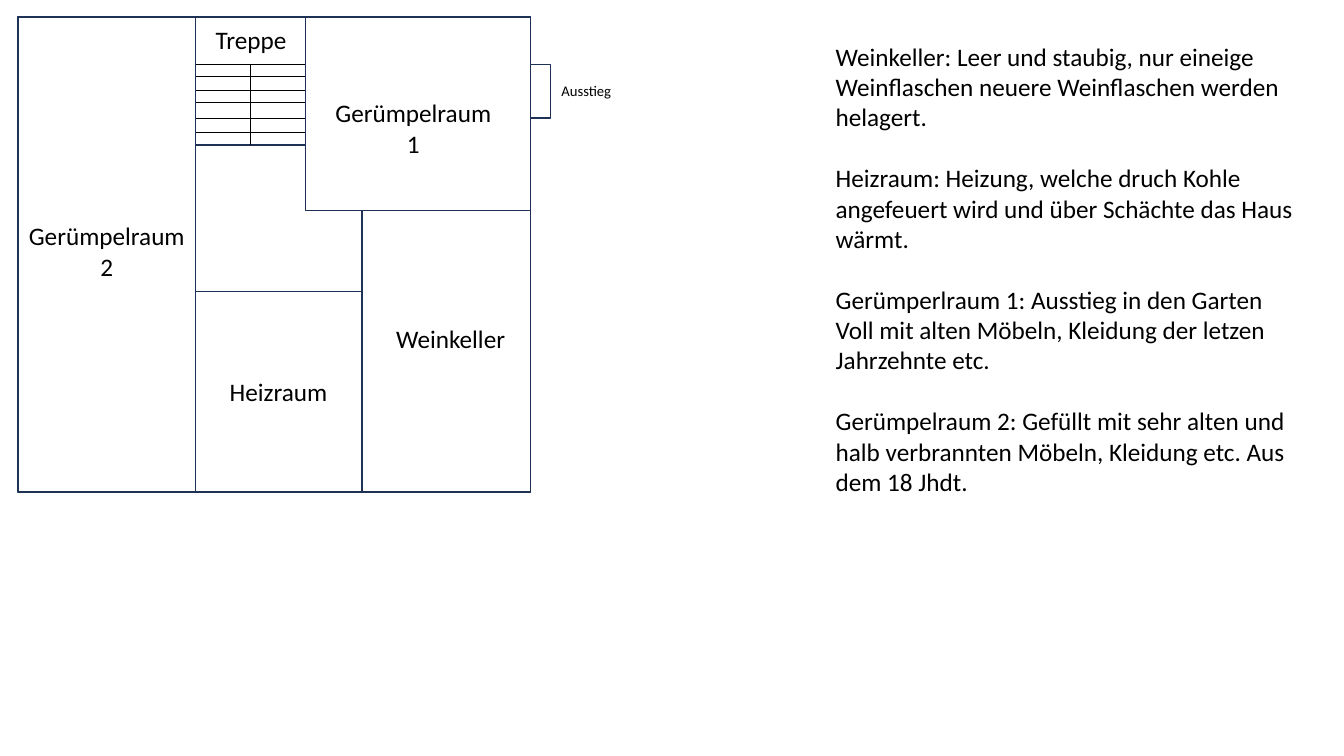
"""Build a slide with a cellar floor plan and a description of its rooms."""
from pptx import Presentation
from pptx.dml.color import RGBColor
from pptx.enum.shapes import MSO_CONNECTOR, MSO_SHAPE
from pptx.enum.text import MSO_AUTO_SIZE, PP_ALIGN
from pptx.oxml.ns import qn
from pptx.util import Inches, Pt
from lxml.etree import SubElement

NAVY = RGBColor(0x1E, 0x32, 0x56)
BLACK = RGBColor(0, 0, 0)
WHITE = RGBColor(255, 255, 255)
LEFT, CENTER = PP_ALIGN.LEFT, PP_ALIGN.CENTER

COLS = {"west": 0.18, "hall": 1.94, "stair": 3.03, "wine": 3.59,
        "east": 5.26, "exit": 5.46}
ROWS = {"north": 0.17, "step": 0.64, "hatch": 1.17, "foot": 1.44,
        "junk": 2.09, "heat": 2.89, "south": 4.88}

BASE = [("west", "north", "east", "south"), ("hall", "north", "stair", "foot")]
ROOMS = [
    ("east", "step", "exit", "hatch"),
    ("west", "north", "hall", "south"),
    ("hall", "heat", "wine", "south"),
    ("wine", "junk", "east", "south"),
    ("stair", "north", "east", "junk"),
]
STEPS = [0.64, 0.76, 0.9, 1.02, 1.17, 1.31]

LABELS = [
    (["Treppe"], (2.04, 0.19, 1.09, 0.4), 18, LEFT),
    (["Ausstieg"], (5.47, 0.76, 0.72, 0.28), 10.5, LEFT),
    (["Heizraum"], (2.18, 3.68, 1.41, 0.4), 18, LEFT),
    (["Gerümpelraum\n1"], (3.17, 0.92, 1.86, 0.71), 18, CENTER),
    (["Weinkeller"], (3.83, 3.16, 1.33, 0.4), 18, LEFT),
    (["Gerümpelraum", "2"], (0.13, 2.14, 1.86, 0.71), 18, CENTER),
]
NOTES = [
    "Weinkeller: Leer und staubig, nur eineige Weinflaschen neuere "
    "Weinflaschen werden helagert.",
    "Heizraum: Heizung, welche druch Kohle angefeuert wird und über "
    "Schächte das Haus wärmt.",
    "Gerümperlraum 1: Ausstieg in den Garten\n"
    "Voll mit alten Möbeln, Kleidung der letzen Jahrzehnte etc.",
    "Gerümpelraum 2: Gefüllt mit sehr alten und halb verbrannten Möbeln, "
    "Kleidung etc. Aus dem 18 Jhdt.",
]


def add_room(slide, west, north, east, south):
    x, y = COLS[west], ROWS[north]
    box = (x, y, COLS[east] - x, ROWS[south] - y)
    room = slide.shapes.add_shape(MSO_SHAPE.RECTANGLE, *map(Inches, box))
    room.shadow.inherit = False
    room.fill.solid()
    room.fill.fore_color.rgb = WHITE
    room.line.color.rgb = NAVY
    room.line.width = Pt(1)


def add_line(slide, *ends):
    line = slide.shapes.add_connector(MSO_CONNECTOR.STRAIGHT, *map(Inches, ends))
    line.line.color.rgb = BLACK
    line.line.width = Pt(0.5)
    SubElement(line._element.spPr, qn("a:effectLst"))


def add_text(slide, texts, box, size, align, gap=0):
    frame = slide.shapes.add_textbox(*map(Inches, box)).text_frame
    frame.word_wrap = size > 12
    frame.auto_size = MSO_AUTO_SIZE.SHAPE_TO_FIT_TEXT
    style = {"name": "Calibri", "size": Pt(size)}
    for i, text in enumerate(texts):
        para = frame.add_paragraph() if i else frame.paragraphs[0]
        para.text = text
        para.alignment = align
        if i and gap:
            para.space_before = Pt(gap)
        for run in para.runs:
            for key, value in style.items():
                setattr(run.font, key, value)
            run.font.color.rgb = BLACK


def main():
    deck = Presentation()
    deck.slide_width, deck.slide_height = Inches(13.33), Inches(7.5)
    slide = deck.slides.add_slide(deck.slide_layouts[6])
    for room in BASE:
        add_room(slide, *room)
    left, right = COLS["hall"], COLS["stair"]
    mid = (left + right) / 2
    add_line(slide, mid, ROWS["foot"], mid, ROWS["step"])
    for y in STEPS:
        add_line(slide, left, y, right, y)
    for room in ROOMS:
        add_room(slide, *room)
    for label in LABELS:
        add_text(slide, *label)
    add_text(slide, NOTES, (8.19, 0.36, 4.87, 4.64), 18, LEFT, gap=22)
    deck.save("out.pptx")


if __name__ == "__main__":
    main()
